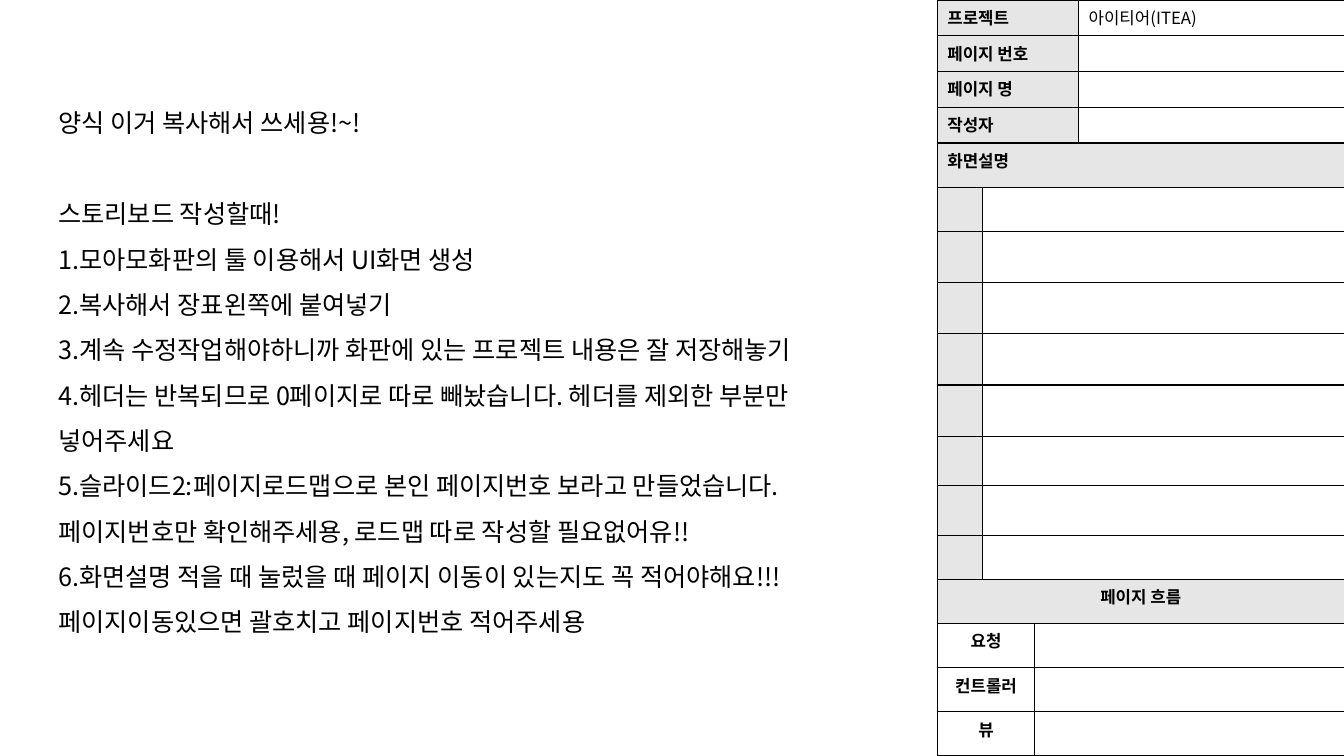
from dataclasses import dataclass

from lxml import etree
from pptx import Presentation
from pptx.dml.color import RGBColor
from pptx.enum.text import MSO_AUTO_SIZE, PP_ALIGN
from pptx.oxml.ns import qn
from pptx.util import Cm, Pt


@dataclass(frozen=True)
class Theme:
    """Colours, font and type sizes of the slide."""
    font: str = "Noto Sans CJK KR"
    ink: str = "000000"
    label: str = "E7E6E6"
    body: float = 18
    cell: float = 12
    border: float = 1


THEME = Theme()
GUIDE = [
    "양식 이거 복사해서 쓰세용!~!",
    "스토리보드 작성할때!",
    "1.모아모화판의 툴 이용해서 UI화면 생성",
    "2.복사해서 장표왼쪽에 붙여넣기",
    "3.계속 수정작업해야하니까 화판에 있는 프로젝트 내용은 잘 저장해놓기",
    "4.헤더는 반복되므로 0페이지로 따로 빼놨습니다. 헤더를 제외한 부분만 넣어주세요",
    "5.슬라이드2:페이지로드맵으로 본인 페이지번호 보라고 만들었습니다. "
    "페이지번호만 확인해주세용, 로드맵 따로 작성할 필요없어유!!",
    "6.화면설명 적을 때 눌렀을 때 페이지 이동이 있는지도 꼭 적어야해요!!! "
    "페이지이동있으면 괄호치고 페이지번호 적어주세용",
]
PROJECT = [("프로젝트", "아이티어(ITEA)"), ("페이지 번호", ""), ("페이지 명", ""), ("작성자", "")]
FLOW = ["요청", "컨트롤러", "뷰"]
NOTE_ROWS = [1.11] + [1.29] * 4 + [1.25] * 2 + [1.11]


def write(paragraph, text, size, bold=False):
    """Add a run in the theme font."""
    run = paragraph.add_run()
    run.text = text
    font = run.font
    font.name, font.size, font.bold = THEME.font, Pt(size), bold
    font.color.rgb = RGBColor.from_string(THEME.ink)
    etree.SubElement(font._element, qn("a:ea"), typeface=THEME.font)


def style_cell(cell, text="", bold=False, shaded=False, align=PP_ALIGN.LEFT):
    """Set the borders, fill and text of one cell."""
    properties = cell._tc.get_or_add_tcPr()
    for side in ("lnL", "lnR", "lnT", "lnB"):
        line = etree.SubElement(properties, qn(f"a:{side}"), w=str(Pt(THEME.border)))
        fill = etree.SubElement(line, qn("a:solidFill"))
        etree.SubElement(fill, qn("a:srgbClr"), val=THEME.ink)
    if shaded:
        cell.fill.solid()
        cell.fill.fore_color.rgb = RGBColor.from_string(THEME.label)
    else:
        cell.fill.background()
    paragraph = cell.text_frame.paragraphs[0]
    paragraph.alignment = align
    if text:
        write(paragraph, text, THEME.cell, bold)
    else:
        etree.SubElement(paragraph._p, qn("a:endParaRPr"), sz=str(int(THEME.cell * 100)))


def add_grid(slide, left, top, widths, heights):
    """Add an unbanded table with the given column widths and row heights."""
    table = slide.shapes.add_table(len(heights), len(widths), Cm(left), Cm(top),
                                   Cm(sum(widths)), Cm(sum(heights))).table
    table.first_row = table.horz_banding = False
    for column, width in zip(table.columns, widths):
        column.width = Cm(width)
    for row, height in zip(table.rows, heights):
        row.height = Cm(height)
    return table


def add_project_table(slide, left, top):
    """Build the project header table."""
    table = add_grid(slide, left, top, [3.56, 6.7], [0.9] * len(PROJECT))
    for row, (label, value) in enumerate(PROJECT):
        style_cell(table.cell(row, 0), label, bold=True, shaded=True)
        style_cell(table.cell(row, 1), value)


def add_description_table(slide, left, top):
    """Build the screen description rows and the page flow rows."""
    heights = [1.11] + NOTE_ROWS + [1.11] * (1 + len(FLOW))
    table = add_grid(slide, left, top, [1.14, 1.32, 7.8], heights)
    flow_row = 1 + len(NOTE_ROWS)
    content = {(0, 0): ("화면설명", True, True),
               (flow_row, 0): ("페이지 흐름", True, True, PP_ALIGN.CENTER)}
    spans = {0: (0, 2), flow_row: (0, 2)}
    for row in range(1, flow_row):
        content[row, 0] = ("", False, True)
        spans[row] = (1, 2)
    for row, label in enumerate(FLOW, flow_row + 1):
        content[row, 0] = (label, True, False, PP_ALIGN.CENTER)
        spans[row] = (0, 1)
    for row, (first, last) in spans.items():
        table.cell(row, first).merge(table.cell(row, last))
        for column in range(3):
            style_cell(table.cell(row, column), *content.get((row, column), ()))


def add_guide(slide, left, top, width, height):
    """Build the writing guide, with a one-line gap after its opening."""
    box = slide.shapes.add_textbox(Cm(left), Cm(top), Cm(width), Cm(height))
    frame = box.text_frame
    frame.word_wrap = True
    frame.auto_size = MSO_AUTO_SIZE.SHAPE_TO_FIT_TEXT
    for index, text in enumerate(GUIDE):
        paragraph = frame.add_paragraph() if index else frame.paragraphs[0]
        paragraph.line_spacing = 1.5
        paragraph.space_after = Pt(0 if index else 32.4)
        write(paragraph, text, THEME.body)


def build():
    """Assemble and save the storyboard template slide."""
    deck = Presentation()
    deck.slide_width, deck.slide_height = Cm(33.87), Cm(19.05)
    slide = deck.slides.add_slide(deck.slide_layouts[6])
    add_project_table(slide, 23.62, 0)
    add_description_table(slide, 23.62, 3.61)
    add_guide(slide, 1.22, 2.21, 21.13, 14.1)
    deck.save("out.pptx")


build()
